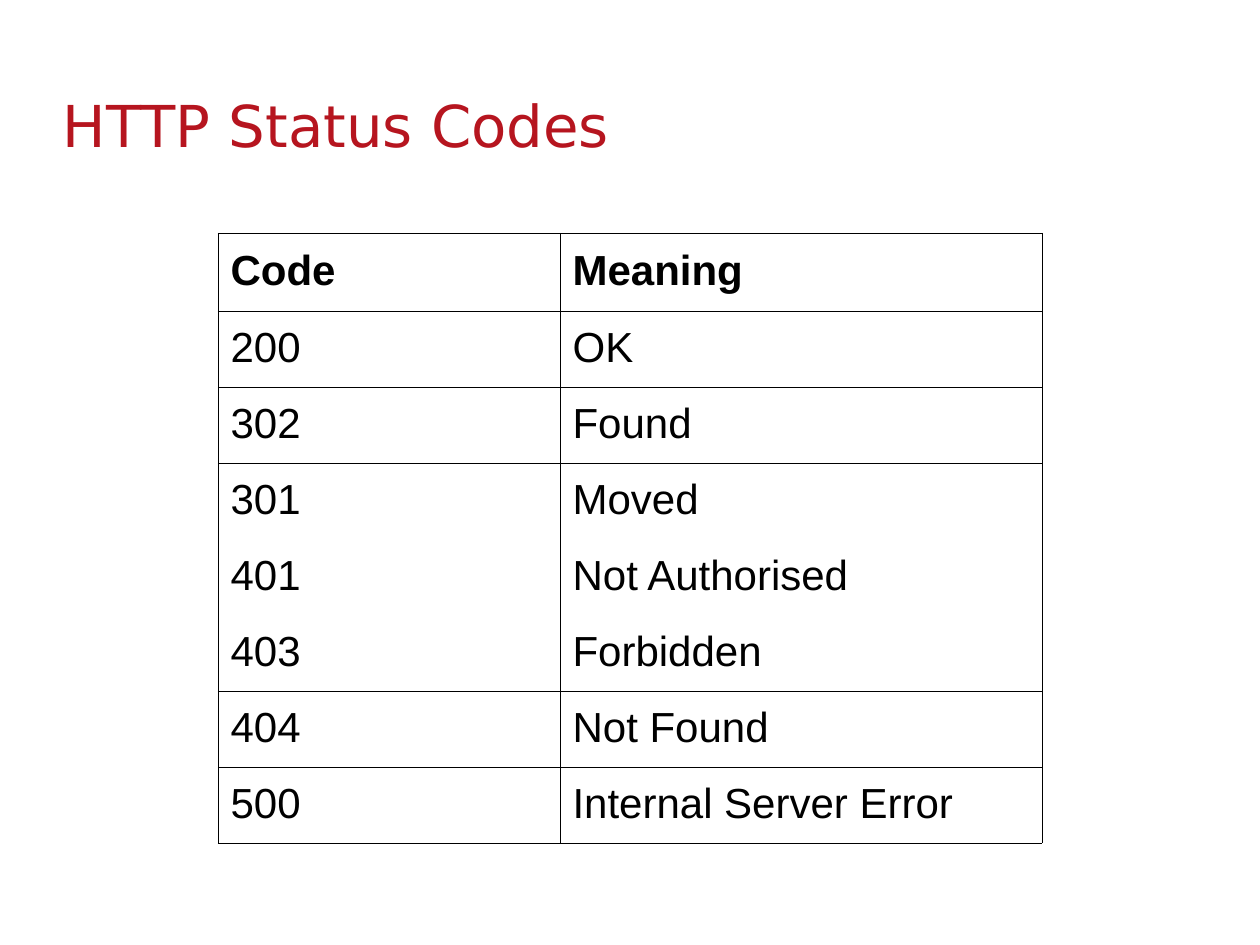
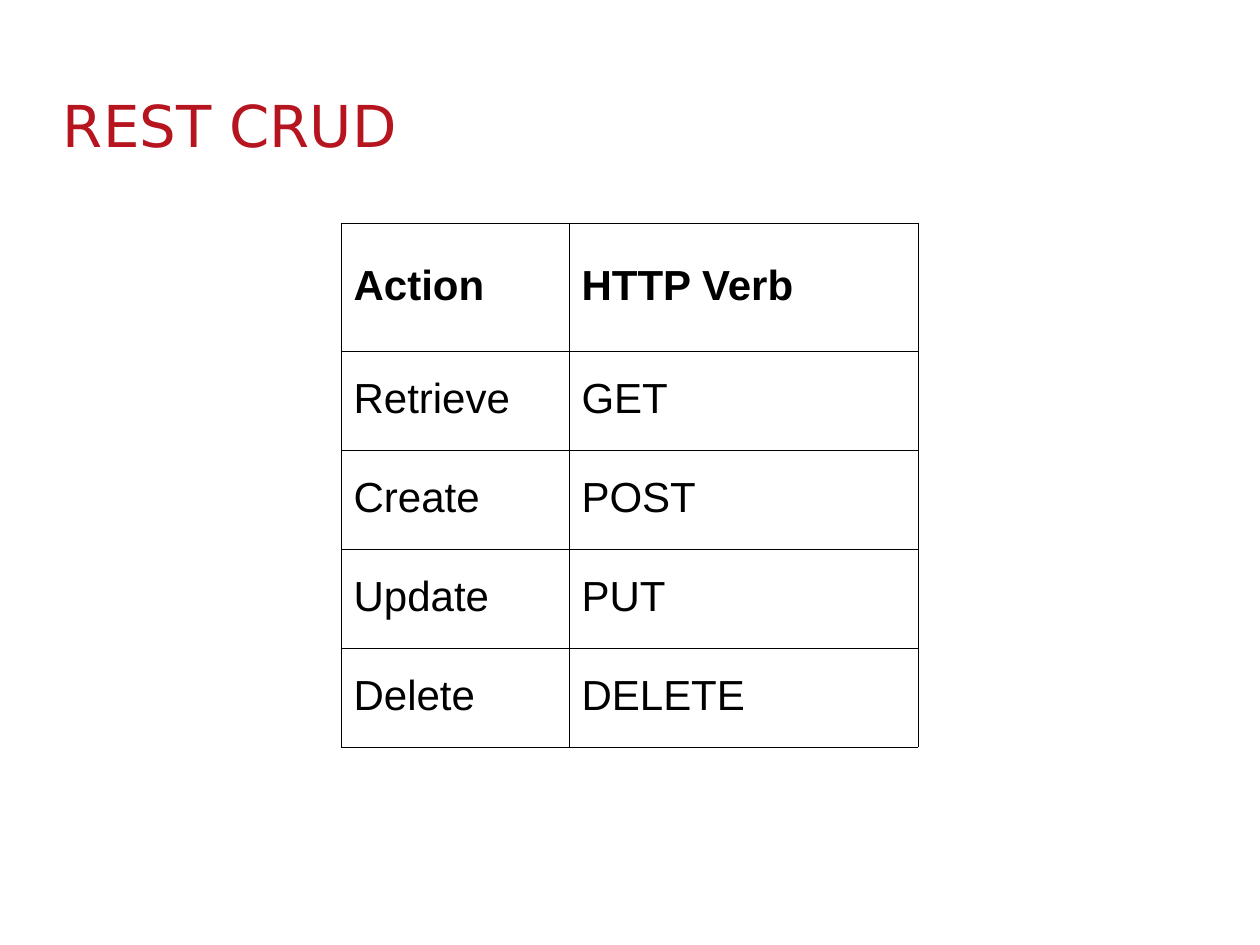
"""Build two slides with tables on HTTP status codes and REST verbs."""
from lxml import etree
from pptx import Presentation
from pptx.dml.color import RGBColor
from pptx.enum.text import MSO_ANCHOR
from pptx.oxml.ns import qn
from pptx.util import Pt

MIDDLE = MSO_ANCHOR.MIDDLE
PX = 914400 / 126
RED, BLACK = "B6151F", "000000"
TITLE = dict(name="DejaVu Sans", size=Pt(33), bold=False)
HEAD = dict(name="Arial", size=Pt(24), bold=True)
BODY = dict(HEAD, bold=False)
NO_MARGINS = dict(margin_left=0, margin_top=0, margin_right=0, margin_bottom=0,
                  word_wrap=True, vertical_anchor=MIDDLE)

SLIDES = [
    dict(title="HTTP Status Codes", left=218, top=233, cols=(342, 482),
         head_height=78, row_height=76, open_below=(3, 4),
         rows=[("Code", "Meaning"), ("200", "OK"), ("302", "Found"),
               ("301", "Moved"), ("401", "Not Authorised"),
               ("403", "Forbidden"), ("404", "Not Found"),
               ("500", "Internal Server Error")]),
    dict(title="REST CRUD", left=341, top=223, cols=(228, 349),
         head_height=128, row_height=99, open_below=(),
         rows=[("Action", "HTTP Verb"), ("Retrieve", "GET"),
               ("Create", "POST"), ("Update", "PUT"), ("Delete", "DELETE")]),
]


def emu(*lengths):
    return [round(n * PX) for n in lengths]


def write(tf, text, style, color, spacing):
    p = tf.paragraphs[0]
    p.line_spacing = spacing
    r = p.add_run()
    r.text = text
    for key, value in style.items():
        setattr(r.font, key, value)
    r.font.color.rgb = RGBColor.from_string(color)


prs = Presentation()
prs.slide_width, prs.slide_height = emu(1260, 945)

for data in SLIDES:
    s = prs.slides.add_slide(prs.slide_layouts[6])
    tf = s.shapes.add_textbox(*emu(63, 44, 1134, 145)).text_frame
    for key, value in NO_MARGINS.items():
        setattr(tf, key, value)
    write(tf, data["title"], TITLE, RED, 1.24)

    rows, cols = data["rows"], data["cols"]
    heights = [data["head_height"]] + [data["row_height"]] * (len(rows) - 1)
    box = emu(data["left"], data["top"], sum(cols), sum(heights))
    table = s.shapes.add_table(len(rows), len(cols), *box).table
    table.first_row = table.horz_banding = False
    for column, width in zip(table.columns, emu(*cols)):
        column.width = width
    for row, height in zip(table.rows, emu(*heights)):
        row.height = height

    for i, row in enumerate(rows):
        hidden = {"lnT": i - 1 in data["open_below"],
                  "lnB": i in data["open_below"]}
        for j, text in enumerate(row):
            cell = table.cell(i, j)
            cell.vertical_anchor = MIDDLE
            write(cell.text_frame, text, BODY if i else HEAD, BLACK, 0.93)
            tc_pr = cell._tc.get_or_add_tcPr()
            for side in ("lnL", "lnR", "lnT", "lnB"):
                ln = etree.SubElement(tc_pr, qn("a:" + side), w=str(Pt(0.06)))
                if hidden.get(side):
                    etree.SubElement(ln, qn("a:noFill"))
                else:
                    fill = etree.SubElement(ln, qn("a:solidFill"))
                    etree.SubElement(fill, qn("a:srgbClr"), val=BLACK)
            cell.fill.background()

prs.save("out.pptx")
